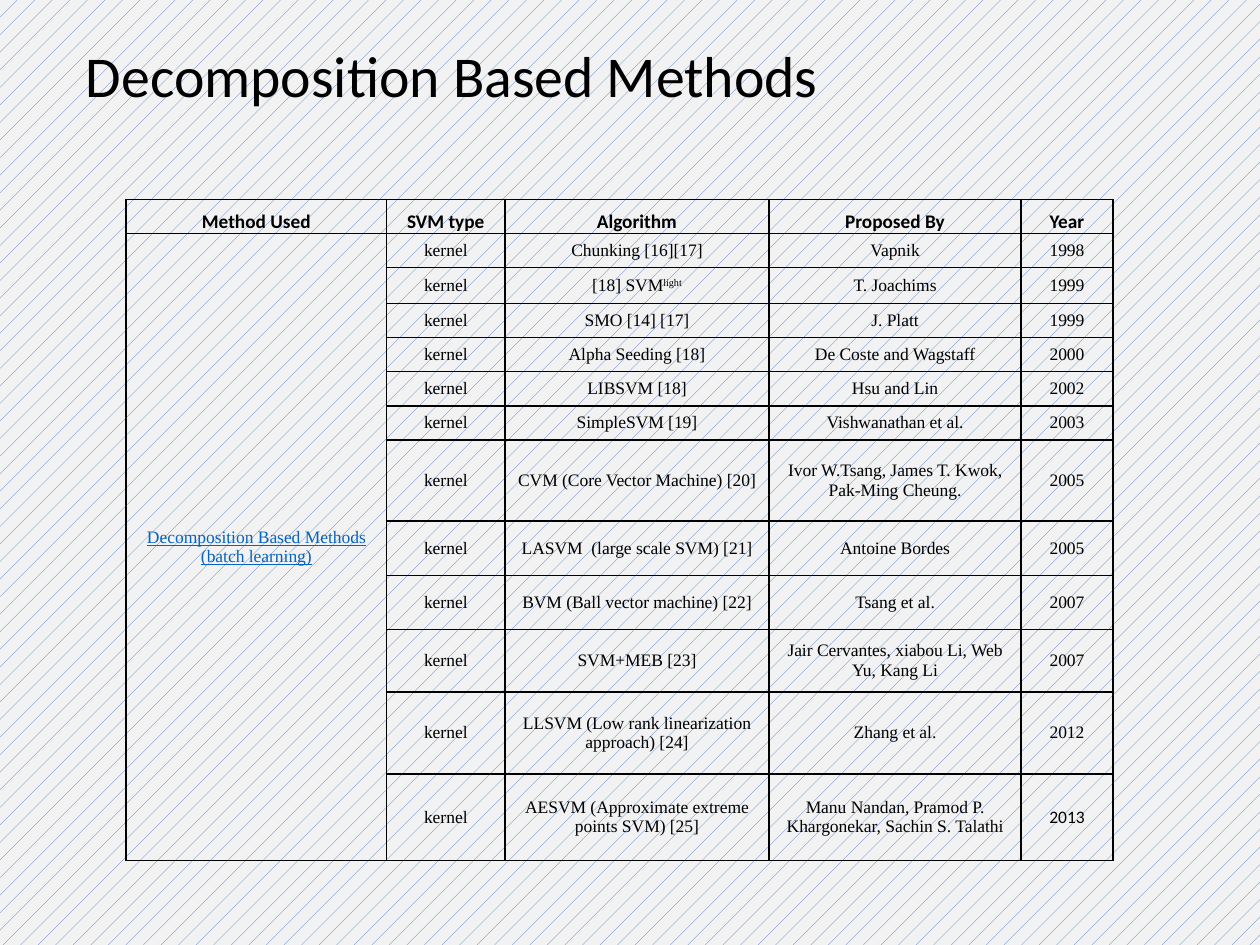
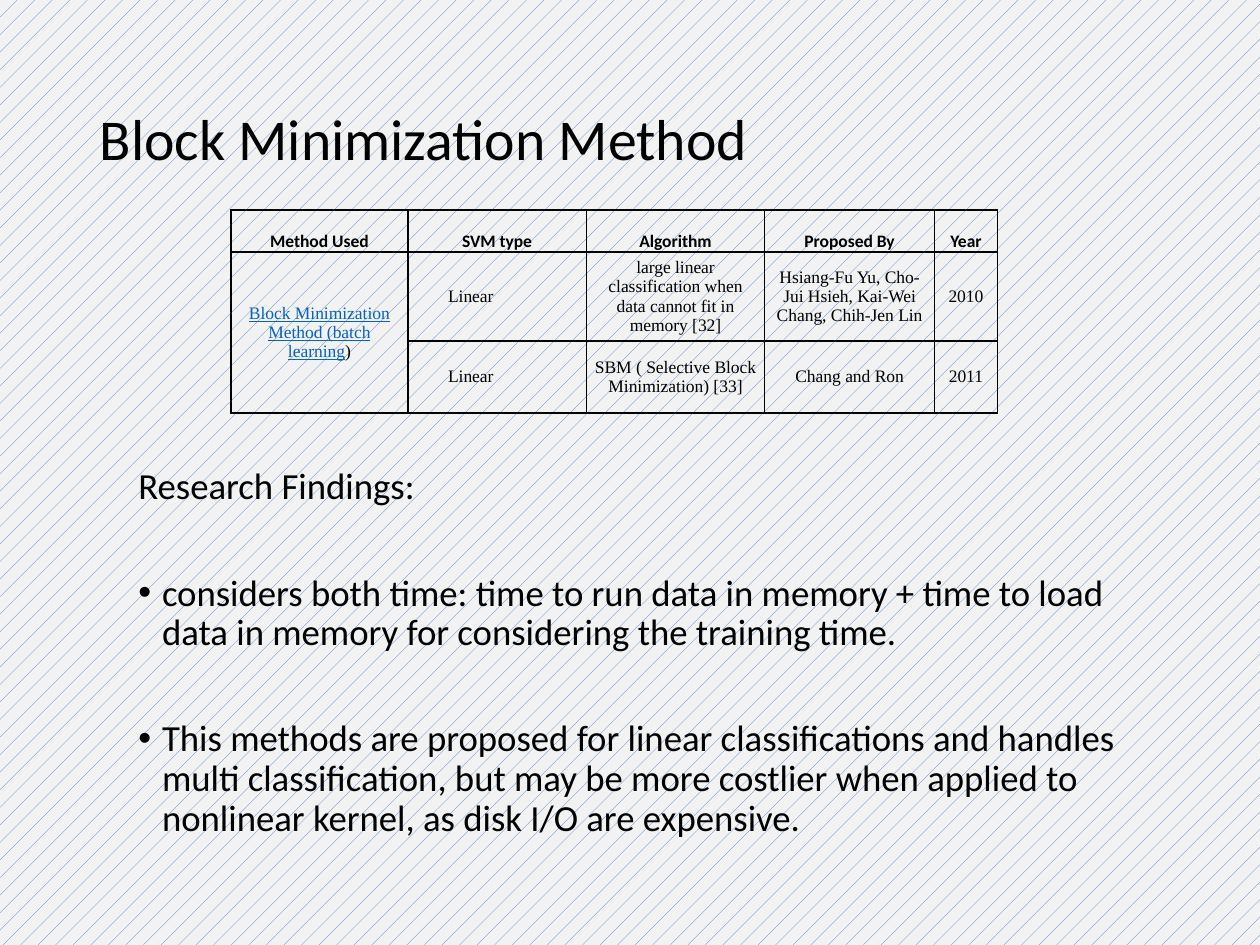
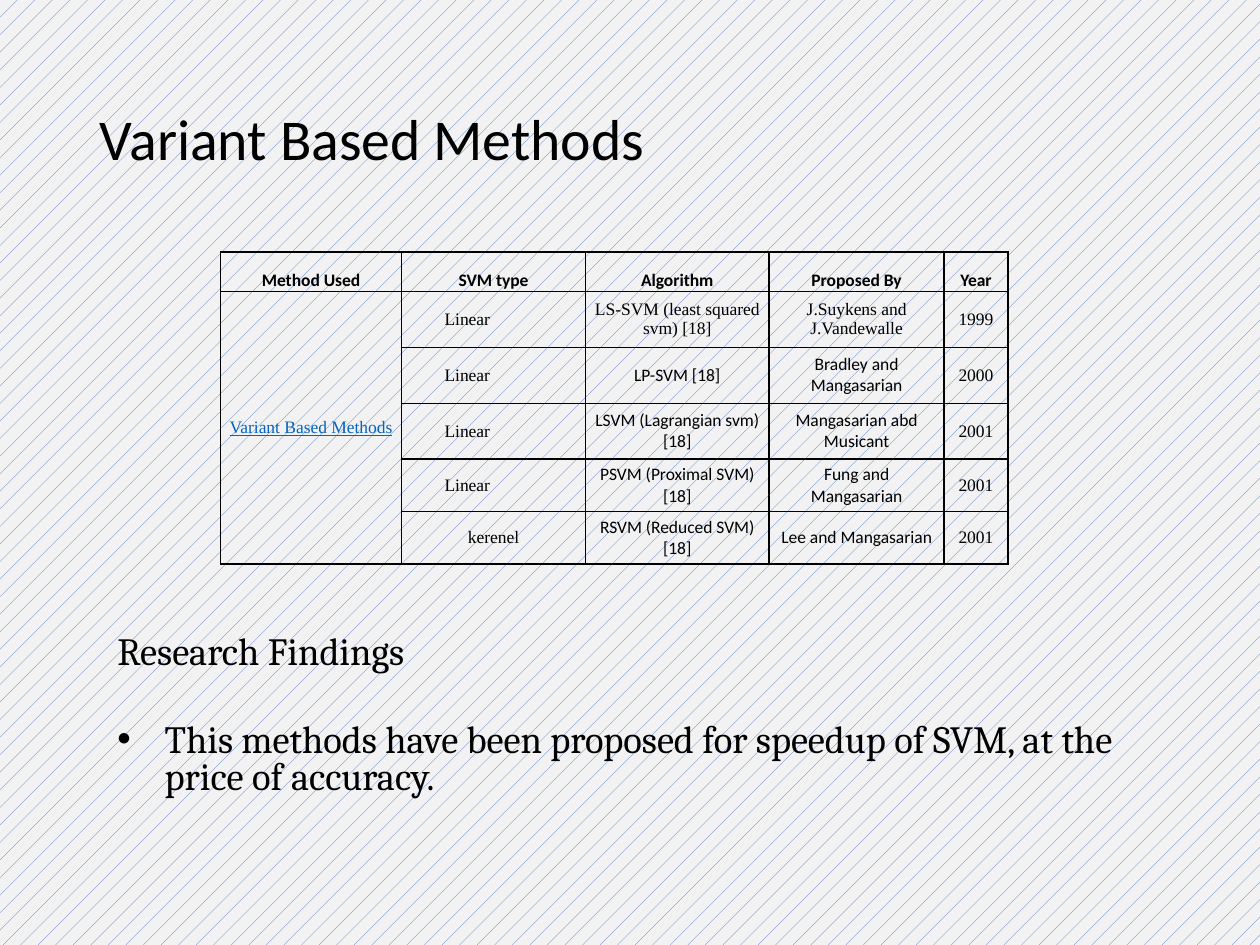
"""Build three slides that survey SVM training methods."""
from lxml.etree import SubElement
from pptx import Presentation
from pptx.dml.color import RGBColor
from pptx.enum.dml import MSO_PATTERN
from pptx.enum.text import MSO_ANCHOR as Anchor, PP_ALIGN as Align
from pptx.oxml.ns import qn
from pptx.util import Pt

COLORS = {"text": "000000", "link": "0563C1", "stripe": "4472C4", "paper": "F2F2F2"}
SANS, SERIF, BOOK = "Calibri", "Times New Roman", "Cambria"
HEADERS = ["Method Used", "SVM type", "Algorithm", "Proposed By", "Year"]
LOWER_TITLE = (50, 29, 620, 104)
LINEAR_SHIFT = 30

SLIDES = [
    {
        "title": "Decomposition Based Methods",
        "title_at": (42, 0, 648, 90),
        "table": {
            "at": (72, 114),
            "columns": [149, 67.5, 151, 144, 52.5],
            "heights": [19.5, 19.5, 20.5] + [19.5] * 4 + [46.5, 31, 31, 35.5, 47, 49.5],
            "header_size": 11, "header_inset": 3.6, "inset": 3.6,
            "method": ("Decomposition Based Methods (batch learning)", ""),
            "rows": [
                ("kernel", "Chunking [16][17]", "Vapnik", "1998"),
                ("kernel", "[18] SVM^light", "T. Joachims", "1999"),
                ("kernel", "SMO [14] [17]", "J. Platt", "1999"),
                ("kernel", "Alpha Seeding [18]", "De Coste and Wagstaff", "2000"),
                ("kernel", "LIBSVM [18]", "Hsu and Lin", "2002"),
                ("kernel", "SimpleSVM [19]", "Vishwanathan et al.", "2003"),
                ("kernel", "CVM (Core Vector Machine) [20]",
                 "Ivor W.Tsang, James T. Kwok, Pak-Ming Cheung.", "2005"),
                ("kernel", "LASVM  (large scale SVM) [21]", "Antoine Bordes", "2005"),
                ("kernel", "BVM (Ball vector machine) [22]", "Tsang et al.", "2007"),
                ("kernel", "SVM+MEB [23]", "Jair Cervantes, xiabou Li, Web Yu, Kang Li", "2007"),
                ("kernel", "LLSVM (Low rank linearization approach) [24]", "Zhang et al.", "2012"),
                ("kernel", "AESVM (Approximate extreme points SVM) [25]",
                 "Manu Nandan, Pramod P. Khargonekar, Sachin S. Talathi", "2013"),
            ],
            "sans_cells": {(12, 4)},
        },
    },
    {
        "title": "Block Minimization Method",
        "title_at": LOWER_TITLE,
        "table": {
            "at": (132, 120),
            "columns": [101, 102, 102, 97, 36],
            "heights": [24, 51, 41],
            "header_size": 10, "header_inset": 2.2, "inset": 3.6,
            "method": ("Block Minimization Method (batch learning", ")"),
            "rows": [
                ("Linear", "large linear classification when data cannot fit in memory [32]",
                 "Hsiang-Fu Yu, Cho-Jui Hsieh, Kai-Wei Chang, Chih-Jen Lin", "2010"),
                ("Linear", "SBM ( Selective Block Minimization) [33]", "Chang and Ron", "2011"),
            ],
            "sans_cells": set(),
        },
        "findings": {
            "at": (72, 264, 588, 236),
            "font": SANS, "size": 21, "spacing": 0.9, "gap": 38, "indent": 13.5,
            "heading": "Research Findings:",
            "bullets": [
                "considers both time: time to run data in memory + time to load data in memory "
                "for considering the training time.",
                "This methods are proposed for linear classifications and handles multi "
                "classification, but may be more costlier when applied to nonlinear kernel, "
                "as disk I/O are expensive.",
            ],
        },
    },
    {
        "title": "Variant Based Methods",
        "title_at": LOWER_TITLE,
        "table": {
            "at": (126, 144),
            "columns": [103.5, 105, 105, 100, 36.5],
            "heights": [22.5, 32, 32, 32, 30, 30],
            "header_size": 10, "header_inset": 2.2, "inset": 5,
            "method": ("Variant Based Methods", ""),
            "rows": [
                ("Linear", "LS-SVM (least squared svm) [18]", "J.Suykens and J.Vandewalle", "1999"),
                ("Linear", "LP-SVM [18]", "Bradley and Mangasarian", "2000"),
                ("Linear", "LSVM (Lagrangian svm) [18]", "Mangasarian abd Musicant", "2001"),
                ("Linear", "PSVM (Proximal SVM) [18]", "Fung and Mangasarian", "2001"),
                ("kerenel", "RSVM (Reduced SVM) [18]", "Lee and Mangasarian", "2001"),
            ],
            "sans_cells": {(row, column) for row in range(2, 6) for column in (2, 3)},
        },
        "findings": {
            "at": (60, 360, 600, 102),
            "font": BOOK, "size": 22, "spacing": 0.8, "gap": 29, "indent": 27,
            "heading": "Research Findings",
            "bullets": ["This methods have been proposed for speedup of SVM, "
                        "at the price of accuracy."],
        },
    },
]


def color(name):
    return RGBColor.from_string(COLORS[name])


def add_span(para, text, font, size, tint="text", bold=False):
    span = para.add_run()
    span.text = text
    span.font.name, span.font.size, span.font.bold = font, Pt(size), bold
    span.font.color.rgb = color(tint)
    span.font.underline = tint == "link"
    return span


def add_box(page, place, anchor):
    frame = page.shapes.add_textbox(*map(Pt, place)).text_frame
    frame.word_wrap = True
    frame.vertical_anchor = anchor
    return frame


def paint_background(page):
    fill = page.background.fill
    fill.patterned()
    fill.pattern = MSO_PATTERN.PERCENT_5
    fill.fore_color.rgb = color("stripe")
    fill.back_color.rgb = color("paper")


def add_title(page, text, place):
    para = add_box(page, place, Anchor.MIDDLE).paragraphs[0]
    para.line_spacing = 0.9
    add_span(para, text, SANS, 33)


def style_cell(cell, inset, anchor):
    properties = cell._tc.get_or_add_tcPr()
    for side in ("a:lnL", "a:lnR", "a:lnT", "a:lnB"):
        line = SubElement(properties, qn(side), w=str(Pt(1)))
        SubElement(SubElement(line, qn("a:solidFill")), qn("a:srgbClr"), val=COLORS["text"])
    cell.fill.background()
    cell.margin_left = cell.margin_right = Pt(inset)
    cell.margin_top = cell.margin_bottom = 0
    cell.vertical_anchor = anchor
    para = cell.text_frame.paragraphs[0]
    para.alignment = Align.CENTER
    return para


def add_methods_table(page, data):
    columns, heights, inset = data["columns"], data["heights"], data["inset"]
    place = (*data["at"], sum(columns), sum(heights))
    table = page.shapes.add_table(len(heights), len(columns), *map(Pt, place)).table
    table.first_row = table.horz_banding = False
    for column, width in zip(table.columns, columns):
        column.width = Pt(width)
    for row, height in zip(table.rows, heights):
        row.height = Pt(height)

    for index, header in enumerate(HEADERS):
        para = style_cell(table.cell(0, index), data["header_inset"], Anchor.BOTTOM)
        add_span(para, header, SANS, data["header_size"], bold=True)

    table.cell(1, 0).merge(table.cell(len(heights) - 1, 0))
    method_paras = [style_cell(table.cell(row, 0), inset, Anchor.MIDDLE)
                    for row in range(1, len(heights))]
    linked, tail = data["method"]
    add_span(method_paras[0], linked, SERIF, 10, "link")
    if tail:
        add_span(method_paras[0], tail, SERIF, 10)

    for row, values in enumerate(data["rows"], 1):
        for column, value in enumerate(values, 1):
            cell = table.cell(row, column)
            para = style_cell(cell, inset, Anchor.MIDDLE)
            if value == "Linear":
                cell.margin_right = Pt(inset + LINEAR_SHIFT)
            font = SANS if (row, column) in data["sans_cells"] else SERIF
            base, _, raised = value.partition("^")
            add_span(para, base, font, 10)
            if raised:
                add_span(para, raised, font, 10).font._element.set("baseline", "30000")


def add_findings(page, data):
    frame = add_box(page, data["at"], Anchor.TOP)
    for index, text in enumerate([data["heading"], *data["bullets"]]):
        para = frame.add_paragraph() if index else frame.paragraphs[0]
        para.line_spacing = data["spacing"]
        add_span(para, text, data["font"], data["size"])
        if index:
            para.space_before = Pt(data["gap"])
            properties = para._p.get_or_add_pPr()
            properties.set("marL", str(Pt(data["indent"])))
            properties.set("indent", str(-Pt(data["indent"])))
            SubElement(properties, qn("a:buFont"), typeface="Arial")
            SubElement(properties, qn("a:buChar"), char="•")


def main():
    deck = Presentation()
    deck.slide_width, deck.slide_height = Pt(720), Pt(540)
    for content in SLIDES:
        page = deck.slides.add_slide(deck.slide_layouts[6])
        paint_background(page)
        add_title(page, content["title"], content["title_at"])
        add_methods_table(page, content["table"])
        if "findings" in content:
            add_findings(page, content["findings"])
    deck.save("out.pptx")


if __name__ == "__main__":
    main()
